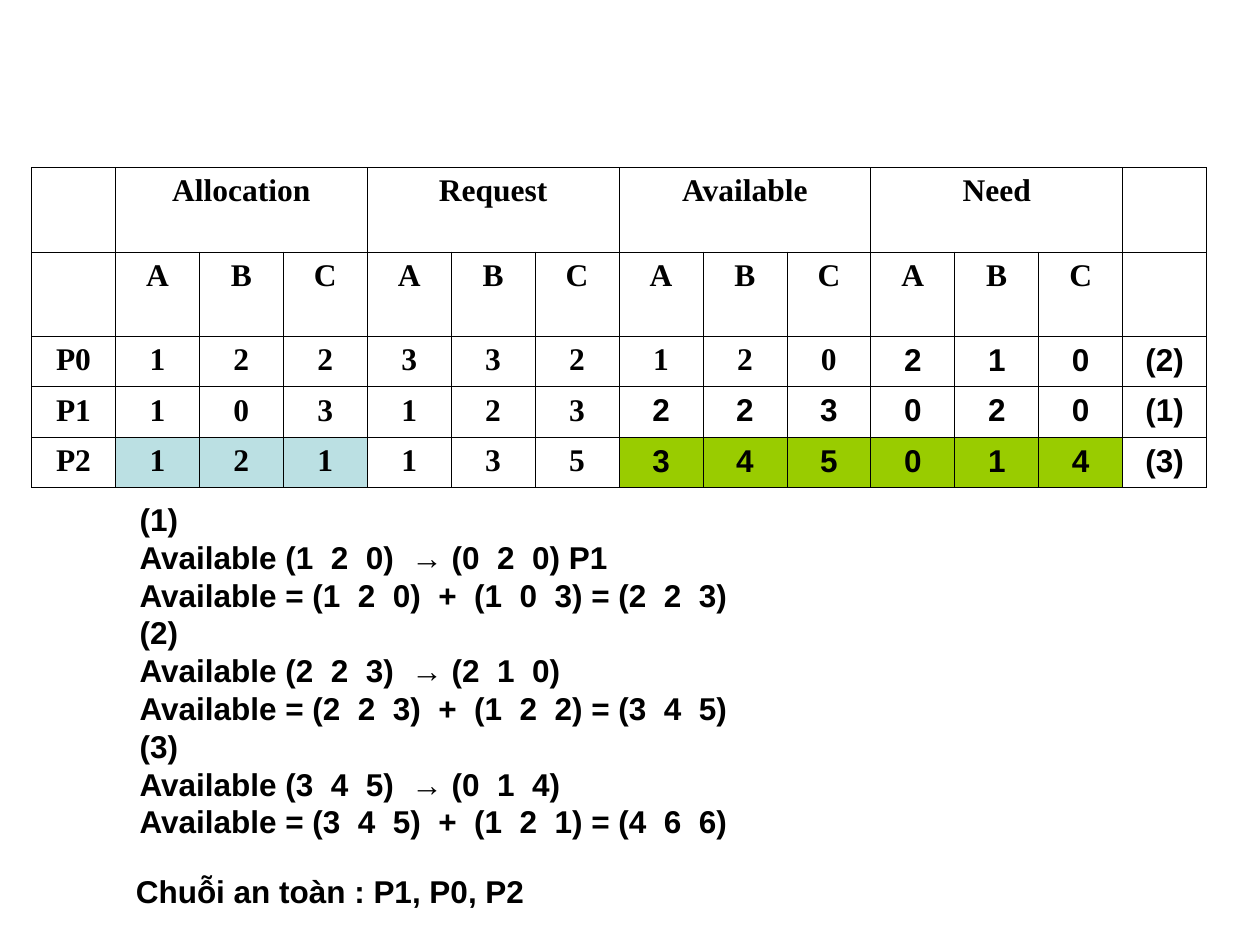
from lxml import etree
from pptx import Presentation
from pptx.dml.color import RGBColor
from pptx.enum.text import MSO_AUTO_SIZE, PP_ALIGN
from pptx.oxml.ns import qn
from pptx.util import Inches, Pt

CENTER = PP_ALIGN.CENTER
FIT_SHAPE = MSO_AUTO_SIZE.SHAPE_TO_FIT_TEXT
BLACK, BLUE, GREEN = "000000", "BBE0E3", "99CC00"
SERIF, SANS = "Times New Roman", "Arial"


def format_runs(paragraph, font_name):
    for run in paragraph.runs:
        run.font.name = font_name
        run.font.size = Pt(18)
        run.font.bold = True
        run.font.color.rgb = RGBColor.from_string(BLACK)


def add_cell_borders(cell):
    properties = cell._tc.get_or_add_tcPr()
    for side in ("a:lnL", "a:lnR", "a:lnT", "a:lnB"):
        line = etree.SubElement(properties, qn(side), w=str(Pt(0.45)))
        fill = etree.SubElement(line, qn("a:solidFill"))
        etree.SubElement(fill, qn("a:srgbClr"), val=BLACK)


prs = Presentation()
prs.slide_width, prs.slide_height = Inches(10), Inches(7.5)
slide = prs.slides.add_slide(prs.slide_layouts[6])

# Resource table: four groups of three resources between two outer columns
groups = ["Allocation", "Request", "Available", "Need"]
header = [""]
for group in groups:
    header += [group, "", ""]
rows = [
    header + [""],
    ["", *"ABC" * len(groups), ""],
    ["P0", *"122332120210", "(2)"],
    ["P1", *"103123223020", "(1)"],
    ["P2", *"121135345014", "(3)"],
]
first_sans_column = [14, 14, 10, 7, 7]
last_row_fills = {**dict.fromkeys(range(1, 4), BLUE),
                  **dict.fromkeys(range(7, 13), GREEN)}

table = slide.shapes.add_table(len(rows), len(header) + 1, Inches(0.25), Inches(1.33),
                               Inches(9.33), Inches(2.54)).table
table.first_row = False
table.horz_banding = False
for row, height in zip(table.rows, [0.67, 0.67, 0.4, 0.4, 0.4]):
    row.height = Inches(height)

for r, values in enumerate(rows):
    for c, value in enumerate(values):
        cell = table.cell(r, c)
        add_cell_borders(cell)
        if r == len(rows) - 1 and c in last_row_fills:
            cell.fill.solid()
            cell.fill.fore_color.rgb = RGBColor.from_string(last_row_fills[c])
        else:
            cell.fill.background()
        if value:
            cell.text_frame.text = value
            paragraph = cell.text_frame.paragraphs[0]
            paragraph.alignment = CENTER
            format_runs(paragraph, SANS if c >= first_sans_column[r] else SERIF)

for c in range(1, 13, 3):
    table.cell(0, c).merge(table.cell(0, c + 2))

# Safe sequence and the steps that lead to it
safe_sequence = "Chuỗi an toàn : P1, P0, P2"
steps = """(1)
Available (1  2  0)  → (0  2  0) P1
Available = (1  2  0)  +  (1  0  3) = (2  2  3)
(2)
Available (2  2  3)  → (2  1  0)
Available = (2  2  3)  +  (1  2  2) = (3  4  5)
(3)
Available (3  4  5)  → (0  1  4)
Available = (3  4  5)  +  (1  2  1) = (4  6  6)"""

for text, left, top, width, height in [
    (safe_sequence, 0.98, 6.87, 3.35, 0.4),
    (steps, 1.01, 3.92, 4.87, 2.8),
]:
    frame = slide.shapes.add_textbox(Inches(left), Inches(top),
                                     Inches(width), Inches(height)).text_frame
    frame.word_wrap = False
    frame.auto_size = FIT_SHAPE
    frame.text = text
    for paragraph in frame.paragraphs:
        format_runs(paragraph, SANS)

prs.save("out.pptx")
